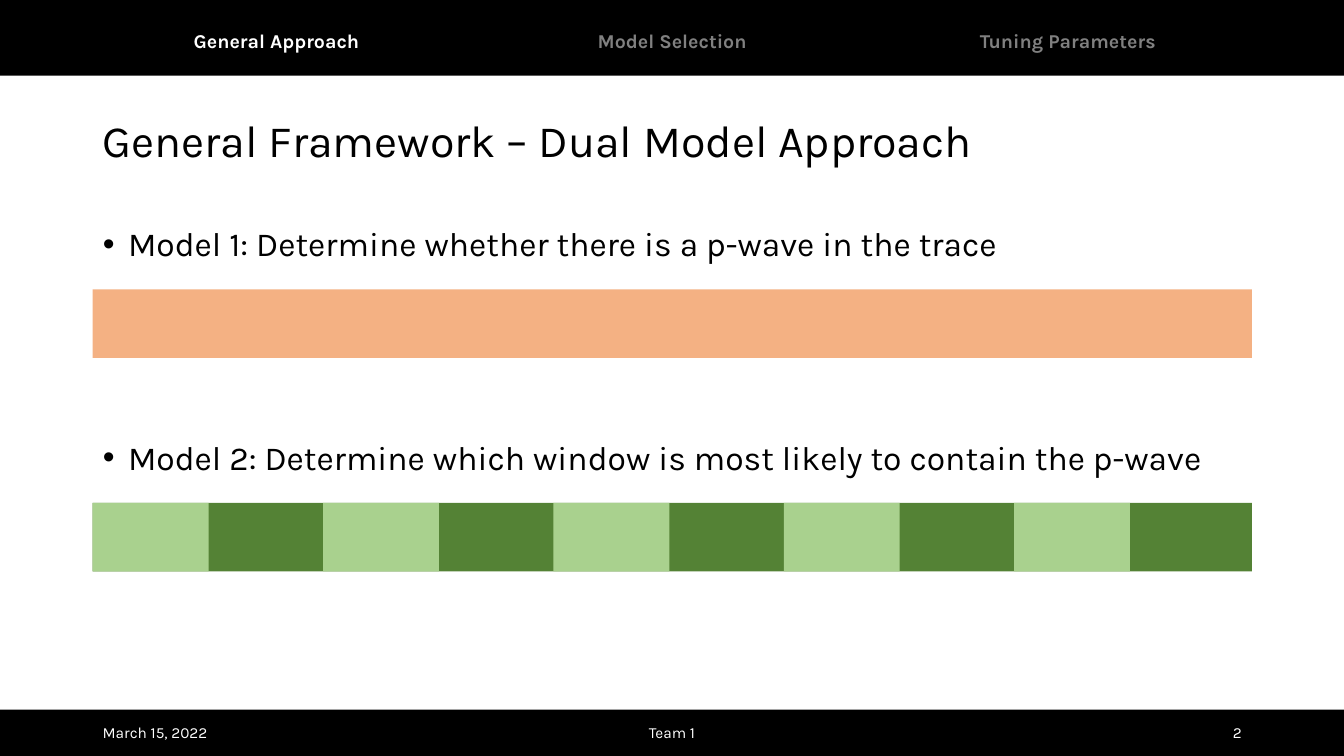
"""Builds the dual model approach slide."""
import pptx
import pptx.util
import pptx.dml.color
import pptx.enum.shapes
import pptx.enum.text
import pptx.oxml
import pptx.oxml.ns

deck = pptx.Presentation()
deck.slide_width = pptx.util.Inches(13.333)
deck.slide_height = pptx.util.Inches(7.5)
col, row = deck.slide_width / 100, deck.slide_height / 100
slide = deck.slides.add_slide(deck.slide_layouts[3])
title, first, second = slide.placeholders
align = pptx.enum.text.PP_ALIGN
left, wide, bar = 6.9, 86.25, 9.07


def paint(part, tone):
    if hasattr(part, "solid"):
        part.solid()
        part = part.fore_color
    part.rgb = pptx.dml.color.RGBColor.from_string(tone)


def write(text, x, y, w, h, hold=None, size=24, tone="000000", bold=False,
          side=align.LEFT, lead=1.0, gap=0, dot=False):
    box = hold or slide.shapes.add_textbox(0, 0, 0, 0)
    box.left, box.top = int(x * col), int(y * row)
    box.width, box.height = int(w * col), int(h * row)
    frame = box.text_frame
    frame.word_wrap = True
    frame.auto_size = pptx.enum.text.MSO_AUTO_SIZE.NONE
    frame.vertical_anchor = pptx.enum.text.MSO_ANCHOR.MIDDLE
    para = frame.paragraphs[0]
    para.alignment, para.line_spacing = side, lead
    para.space_before = pptx.util.Pt(gap)
    run = para.add_run()
    run.text = text
    run.font.name, run.font.size, run.font.bold = "Karla", pptx.util.Pt(size), bold
    paint(run.font.color, tone)
    if dot:
        props = para._p.get_or_add_pPr()
        inset = pptx.util.Inches(0.25)
        props.set("marL", str(inset))
        props.set("indent", str(-inset))
        for tag, key, mark in (("buFont", "typeface", "Arial"), ("buChar", "char", "•")):
            item = pptx.oxml.parse_xml(f'<a:{tag} {pptx.oxml.ns.nsdecls("a")}/>')
            item.set(key, mark)
            props.append(item)


bands = [
    (0, 93.87, 100, 6.13, "000000"),
    (0, 0, 100, 10, "000000"),
    (left, 38.27, wide, bar, "F4B183"),
    (left, 66.53, wide, bar, "548235"),
]
bands += [(left + 17.14 * i, 66.53, 8.62, bar, "A9D18E") for i in range(5)]
for x, y, w, h, tone in bands:
    band = slide.shapes.add_shape(
        pptx.enum.shapes.MSO_SHAPE.RECTANGLE,
        int(x * col), int(y * row), int(w * col), int(h * row))
    band.shadow.inherit = False
    paint(band.fill, tone)
    band.line.fill.background()

write("General Framework – Dual Model Approach", left, 13.07, wide, 11.6,
      hold=title, size=32, lead=0.9)
models = [
    (first, 26.67, "Model 1: Determine whether there is a p-wave in the trace"),
    (second, 54.93, "Model 2: Determine which window is most likely to contain the p-wave"),
]
for hold, y, text in models:
    write(text, left, y, wide, 11.6, hold=hold, lead=0.9, gap=10, dot=True)

tabs = ["General Approach", "Model Selection", "Tuning Parameters"]
for i, text in enumerate(tabs):
    write(text, 11.2 + 29.44 * i, 3.4, 18.75, 4, size=14, bold=True,
          side=align.CENTER, tone="808080" if i else "FFFFFF")

notes = [
    ("March 15, 2022", left, 22.5, align.LEFT),
    ("Team 1", 33.13, 33.75, align.CENTER),
    ("2", 70.65, 22.5, align.RIGHT),
]
for text, x, w, side in notes:
    write(text, x, 94.93, w, 4, size=11, tone="FFFFFF", side=side)

deck.save("out.pptx")
